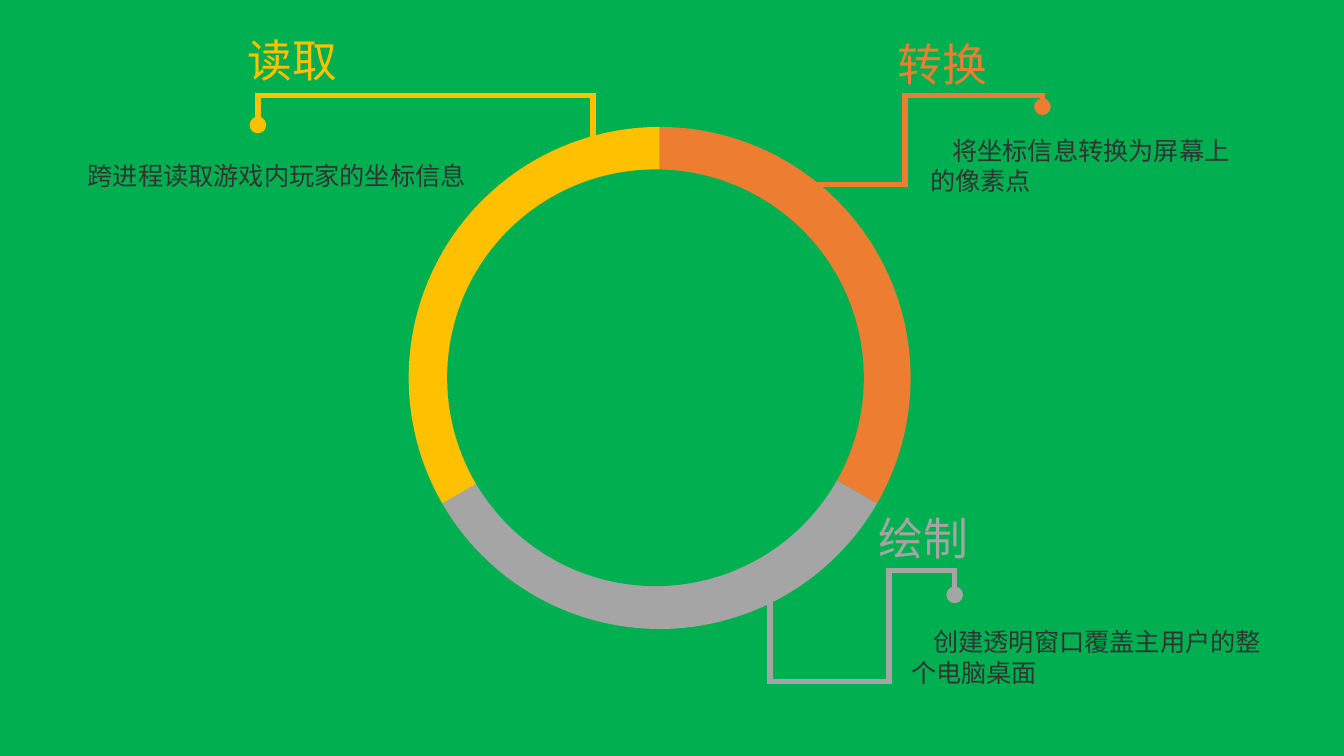
import pptx
import pptx.util
import pptx.dml.color
import pptx.enum.shapes
import pptx.oxml.ns
from lxml import etree

Cm, Pt = pptx.util.Cm, pptx.util.Pt
qn = pptx.oxml.ns.qn
SHAPE = pptx.enum.shapes.MSO_SHAPE
COLORS = {"back": "00B050", "read": "FFC000", "convert": "ED7D31",
          "draw": "A5A5A5", "body": "333333"}
CJK_FONT = "Noto Sans CJK SC"
INDENT = 0.56


def rgb(name):
    """Return the named colour."""
    return pptx.dml.color.RGBColor.from_string(COLORS[name])


def add_solid(shapes, kind, box, color):
    """Add a preset shape in one flat colour without an outline."""
    sp = shapes.add_shape(kind, *map(Cm, box))
    sp.shadow.inherit = False
    sp.fill.solid()
    sp.fill.fore_color.rgb = rgb(color)
    sp.line.fill.background()
    return sp


def add_text(s, box, text, font, size, color, wrap=True, indent=0):
    """Add a one-paragraph text box."""
    tf = s.shapes.add_textbox(*map(Cm, box)).text_frame
    tf.word_wrap = wrap
    p = tf.paragraphs[0]
    if indent:
        p._p.get_or_add_pPr().set("indent", str(Cm(indent)))
    r = p.add_run()
    r.text = text
    r.font.name, r.font.size = font, Pt(size)
    r.font.color.rgb = rgb(color)
    etree.SubElement(r._r.get_or_add_rPr(), qn("a:ea")).set("typeface", CJK_FONT)


def add_leader(s, left, top, points, color):
    """Draw a bent line that ends in a dot, with points relative to left, top."""
    pts = [(Cm(left + x), Cm(top + y)) for x, y in points]
    builder = s.shapes.build_freeform(*pts[0])
    builder.add_line_segments(pts[1:], close=False)
    sp = builder.convert_to_shape()
    sp.shadow.inherit = False
    sp.fill.background()
    sp.line.color.rgb = rgb(color)
    sp.line.width = Pt(4)
    ln = sp.line._get_or_add_ln()
    etree.SubElement(ln, qn("a:miter")).set("lim", "800000")
    etree.SubElement(ln, qn("a:tailEnd")).set("type", "oval")


def add_ring(s, left, top, size):
    """Draw three equal sectors clockwise from the top, and the hole."""
    group = s.shapes.add_group_shape()
    for i, color in enumerate(("convert", "draw", "read")):
        sector = add_solid(group.shapes, SHAPE.PIE, (left, top, size, size), color)
        # An adjustment of 0.6 is one degree, clockwise from the right.
        for k in range(2):
            sector.adjustments[k] = (270 + 120 * (i + k)) % 360 * 0.6
    hole = size * 0.83
    add_solid(s.shapes, SHAPE.OVAL, (left + 0.97, top + 1.07, hole, hole), "back")


def add_callout(s, left, top, color, points, title, title_box, body, body_box,
                one_line=False):
    """Add a leader, heading and description, all relative to left, top."""
    def place(box):
        return left + box[0], top + box[1], box[2], box[3]

    add_leader(s, left, top, points, color)
    add_text(s, place(title_box), title, "Arial", 32, color)
    add_text(s, place(body_box), body, CJK_FONT, 18, "body",
             wrap=not one_line, indent=0 if one_line else INDENT)


def build_slide(prs):
    """Build the three-step ring slide."""
    s = prs.slides.add_slide(prs.slide_layouts[6])
    s.background.fill.solid()
    s.background.fill.fore_color.rgb = rgb("back")
    add_ring(s, 10.3, 3.2, 12.65)
    add_callout(s, 6.5, 2.41, "read",
                [(8.44, 1.07), (8.44, 0), (0, 0), (0, 0.74)],
                "读取", (-0.51, -1.7, 8.66, 1.63),
                "跨进程读取游戏内玩家的坐标信息", (-4.54, 1.5, 10.13, 1.02),
                one_line=True)
    add_callout(s, 20.35, 2.41, "convert",
                [(0, 2.24), (2.46, 2.24), (2.46, 0), (5.92, 0), (5.92, 0.28)],
                "转换", (2.03, -1.62, 7.8, 1.63),
                "将坐标信息转换为屏幕上的像素点", (2.84, 0.87, 8.15, 1.8))
    add_callout(s, 19.41, 14.38, "draw",
                [(0, 0.58), (0, 2.79), (3, 2.79), (3, 0), (4.65, 0), (4.65, 0.61)],
                "绘制", (2.48, -1.63, 2.79, 1.63),
                "创建透明窗口覆盖主用户的整个电脑桌面", (3.3, 1.29, 9.7, 1.8))


prs = pptx.Presentation()
prs.slide_width, prs.slide_height = Cm(33.87), Cm(19.05)
build_slide(prs)
prs.save("out.pptx")
